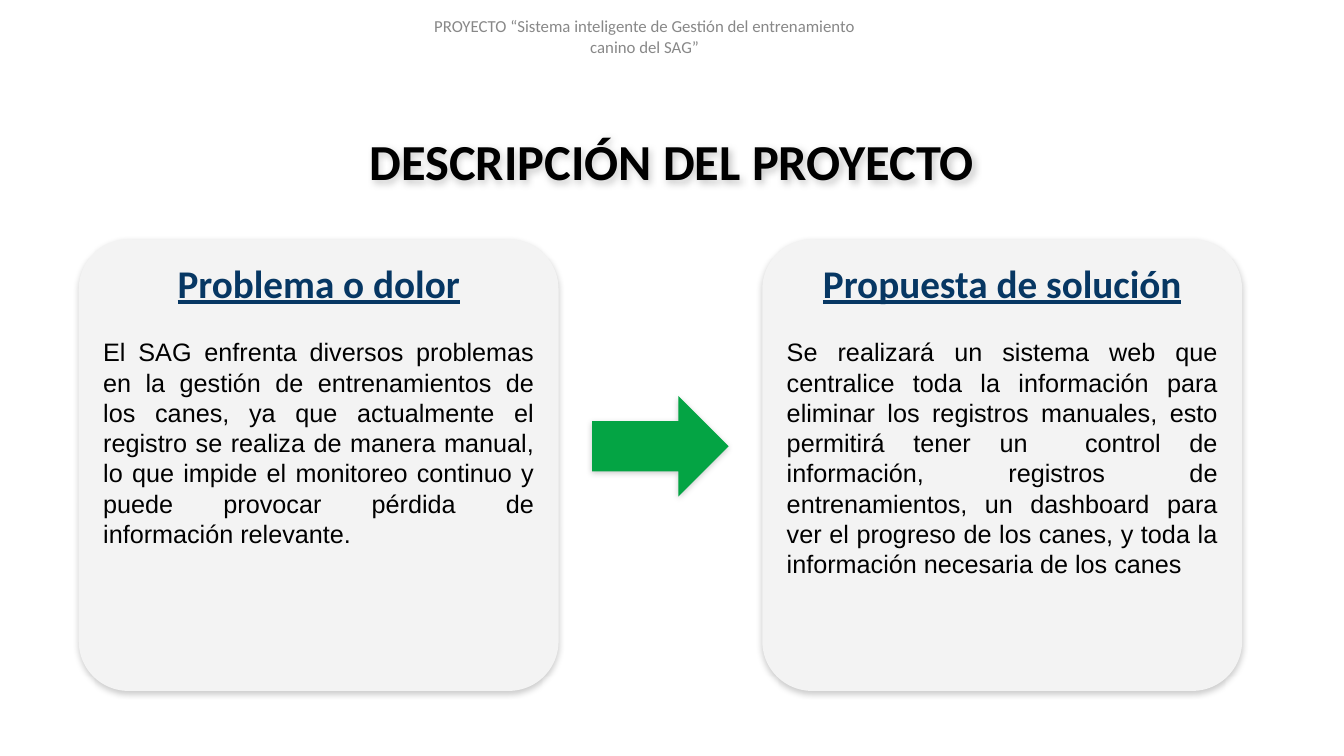
from pptx import Presentation
from pptx.dml.color import RGBColor
from pptx.enum.shapes import MSO_SHAPE as SHAPE
from pptx.enum.text import MSO_ANCHOR as ANCHOR, PP_ALIGN as ALIGN
from pptx.oxml import parse_xml
from pptx.oxml.ns import nsdecls, qn
from pptx.util import Emu, Pt

SHADOW = (
    f'<a:outerShdw {nsdecls("a")} blurRad="57150" dist="19050" dir="5400000" '
    'algn="bl" rotWithShape="0"><a:srgbClr val="000000">'
    '<a:alpha val="20000"/></a:srgbClr></a:outerShdw>'
)


def px(n):
    return Emu(n * 9525)


def rgb(value):
    return RGBColor.from_string(value)


class Deck:
    """Slide builder with the shared colours and fonts."""

    HEAD, BODY = "Calibri", "Arial"
    INK, NAVY, GREY = "000000", "073763", "888888"
    PANEL, GREEN = "F3F3F3", "04A444"

    def __init__(self):
        """Open a deck with one blank slide."""
        self.prs = Presentation()
        self.prs.slide_width, self.prs.slide_height = px(1280), px(720)
        self.s = self.prs.slides.add_slide(self.prs.slide_layouts[6])

    def cast_shadow(self, sp):
        """Give a shape a soft shadow below it."""
        sp.shadow.inherit = False
        sp.element.spPr.find(qn("a:effectLst")).append(parse_xml(SHADOW))

    def style(self, p, text, size, font, color, align=ALIGN.CENTER, bold=False, underline=False):
        """Fill a paragraph with text in one style."""
        p.add_run().text = text
        p.alignment = align
        f = p.font
        f.size, f.name, f.bold, f.underline = Pt(size), font, bold, underline
        f.color.rgb = rgb(color)

    def text(self, box, text, size, color, bold=False, anchor=ANCHOR.TOP):
        """Add a centred text box."""
        sp = self.s.shapes.add_textbox(*map(px, box))
        tf = sp.text_frame
        tf.word_wrap, tf.vertical_anchor = True, anchor
        self.style(tf.paragraphs[0], text, size, self.HEAD, color, bold=bold)
        return sp

    def shape(self, kind, box, fill, *adjustments):
        """Add a filled shape with a shadow."""
        sp = self.s.shapes.add_shape(kind, *map(px, box))
        for i, value in enumerate(adjustments):
            sp.adjustments[i] = value
        sp.fill.solid()
        sp.fill.fore_color.rgb = rgb(fill)
        sp.line.fill.background()
        self.cast_shadow(sp)
        return sp

    def card(self, left, heading, body):
        """Add a rounded card with a heading and justified text."""
        sp = self.shape(SHAPE.ROUNDED_RECTANGLE, (left, 228, 457, 430), self.PANEL, 0.11)
        tf = sp.text_frame
        tf.word_wrap, tf.vertical_anchor = True, ANCHOR.TOP
        self.style(tf.paragraphs[0], heading, 28, self.HEAD, self.NAVY, bold=True, underline=True)
        p = tf.add_paragraph()
        p.space_before = Pt(22)
        self.style(p, body, 18, self.BODY, self.INK, ALIGN.JUSTIFY)


def main():
    deck = Deck()
    title = deck.text((0, 119, 1280, 68), "DESCRIPCIÓN DEL PROYECTO", 36, deck.INK, bold=True)
    deck.cast_shadow(title)
    deck.card(
        75,
        "Problema o dolor",
        "El SAG enfrenta diversos problemas en la gestión de entrenamientos de los canes, "
        "ya que actualmente el registro se realiza de manera manual, lo que impide el "
        "monitoreo continuo y puede provocar pérdida de información relevante.",
    )
    deck.card(
        726,
        "Propuesta de solución",
        "Se realizará un sistema web que centralice toda la información para eliminar los "
        "registros manuales, esto permitirá tener un  control de información, registros de "
        "entrenamientos, un dashboard para ver el progreso de los canes, y toda la "
        "información necesaria de los canes",
    )
    deck.shape(SHAPE.RIGHT_ARROW, (564, 377, 130, 96), deck.GREEN, 0.5, 0.5)
    deck.text(
        (398, 18, 432, 33),
        "PROYECTO “Sistema inteligente de Gestión del entrenamiento canino del SAG”",
        12, deck.GREY, anchor=ANCHOR.MIDDLE,
    )
    deck.prs.save("out.pptx")


if __name__ == "__main__":
    main()
